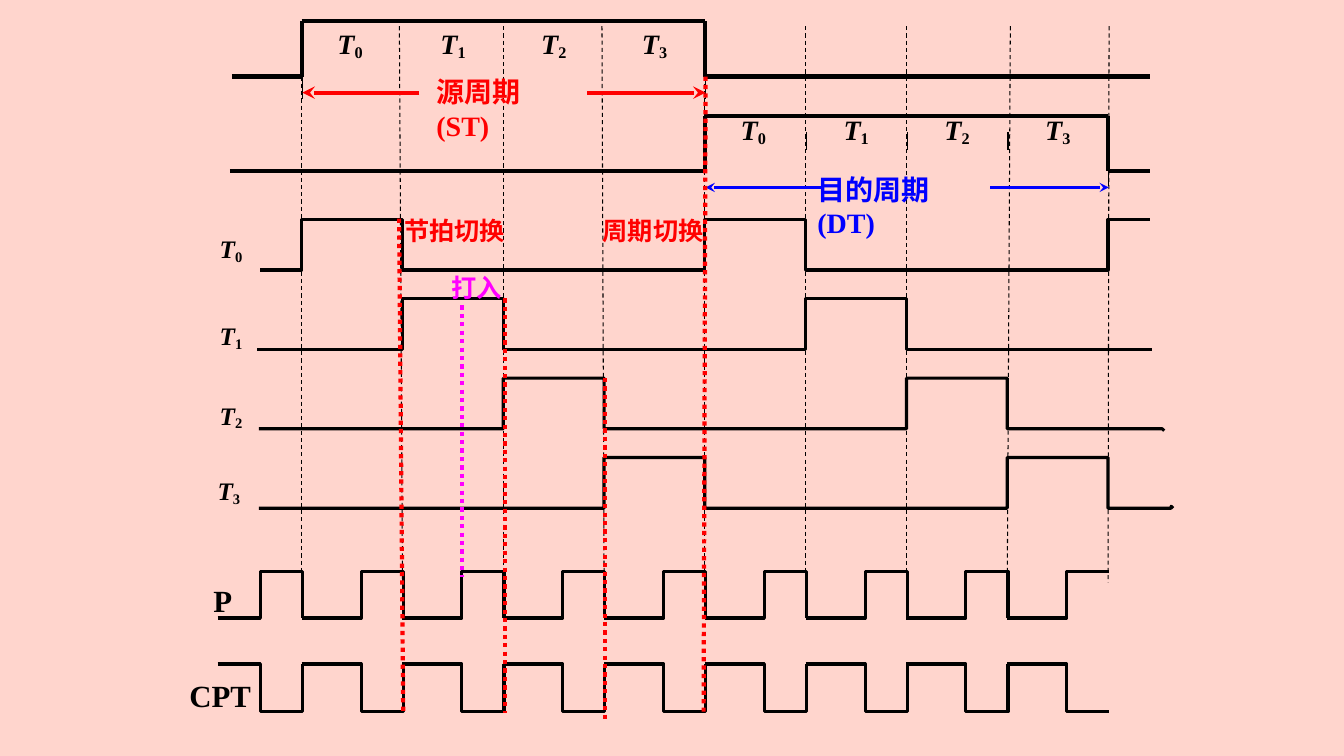
from lxml import etree
from pptx import Presentation
from pptx.dml.color import RGBColor
from pptx.enum.dml import MSO_LINE
from pptx.enum.shapes import MSO_CONNECTOR
from pptx.enum.text import MSO_ANCHOR, MSO_AUTO_SIZE
from pptx.oxml.ns import qn
from pptx.util import Pt

STRAIGHT = MSO_CONNECTOR.STRAIGHT
DASH, DOT = MSO_LINE.DASH, MSO_LINE.ROUND_DOT
FONT = "Times New Roman"
BLACK, RED, BLUE, MAGENTA = "000000", "FF0000", "0000FF", "FF00FF"
BACKGROUND = "FFD5CD"

# Time axis: the first beat starts at ORIGIN, every beat lasts BEAT
ORIGIN, BEAT, BEATS = 215.5, 72, 8
RIGHT_END = 821.5


def color(hex_string):
    return RGBColor.from_string(hex_string)


def beat_x(index):
    return ORIGIN + BEAT * index


def style_line(shape, hex_string, width, dash=None):
    shape.line.color.rgb = color(hex_string)
    shape.line.width = Pt(width)
    if dash is not None:
        shape.line.dash_style = dash


def add_line(slide, start, end, hex_string=BLACK, width=0.75, dash=None, arrow=False):
    connector = slide.shapes.add_connector(
        STRAIGHT, *(Pt(value) for value in (*start, *end)))
    style_line(connector, hex_string, width, dash)
    properties = connector._element.spPr
    if arrow:
        tail = etree.SubElement(properties.find(qn("a:ln")), qn("a:tailEnd"))
        tail.set("type", "stealth")
    etree.SubElement(properties, qn("a:effectLst"))


def add_wave(slide, points):
    corners = [(Pt(x), Pt(y)) for x, y in points]
    builder = slide.shapes.build_freeform(*corners[0], scale=1.0)
    builder.add_line_segments(corners[1:], close=False)
    shape = builder.convert_to_shape()
    shape.fill.background()
    shape.shadow.inherit = False
    style_line(shape, BLACK, 2.25)


def add_label(slide, box, text, size, hex_string=BLACK, subscript=None, wrap_margin=None):
    """Bold label; a subscript makes the main letter italic."""
    shape = slide.shapes.add_textbox(*(Pt(value) for value in box))
    frame = shape.text_frame
    frame_format = {"word_wrap": False, "auto_size": MSO_AUTO_SIZE.NONE,
                    "vertical_anchor": MSO_ANCHOR.TOP}
    if wrap_margin is not None:
        frame_format.update(word_wrap=True, margin_right=Pt(wrap_margin))
    for name, value in frame_format.items():
        setattr(frame, name, value)
    paragraph = frame.paragraphs[0]
    parts = [(text, subscript is not None)]
    if subscript is not None:
        parts.append((str(subscript), False))
    for part, italic in parts:
        run = paragraph.add_run()
        run.text = part
        font_format = {"name": FONT, "size": Pt(size), "bold": True, "italic": italic}
        for name, value in font_format.items():
            setattr(run.font, name, value)
        run.font.color.rgb = color(hex_string)
    if subscript is not None:
        run._r.get_or_add_rPr().set("baseline", "-15000")


def add_beat_waves(slide, top):
    """One row per beat signal T0 to T3; each is high every fourth beat."""
    pitch, height = 56.7, 36.2
    rows = [  # start x, label x, label offset, closing points relative to low level
        (185.8, 149.8, 6.7, []),
        (183.6, 149.8, 12, [(823, 0)]),
        (185, 149.8, 12.1, [(830.2, 0), (831.6, 1.4)]),
        (185, 148.3, 9.4, [(836.6, 0), (836.6, -1.4), (838, 0)]),
    ]
    for number, (start, label_x, label_offset, closing) in enumerate(rows):
        high = top + pitch * number
        low = high + height
        points = [(start, low)]
        for beat in range(number, BEATS, 4):
            left, right = beat_x(beat), beat_x(beat + 1)
            points += [(left, low), (left, high), (right, high), (right, low)]
        if number == 0:
            points += [(beat_x(BEATS), low), (beat_x(BEATS), high), (RIGHT_END, high)]
        points += [(x, low + offset) for x, offset in closing]
        add_wave(slide, points)
        add_label(slide, (label_x, high + label_offset, 31.7, 28.8), "T", 18,
                  subscript=number)


def add_pulse_train(slide, first, second, label, label_box):
    """Clock row: each beat starts at level first and switches to second."""
    for beat in range(-1, BEATS):
        left = beat_x(beat)
        start = left + 12 if beat < 0 else left
        switch, end = left + 42.5, left + BEAT + 0.5
        points = [(start, first), (switch, first), (switch, second), (end, second)]
        if beat < BEATS - 1:
            points.append((end, first))
        add_wave(slide, points)
    add_label(slide, label_box, label, 22)


def add_beat_grid(slide, top, bottom):
    top_shifts = [0, -2.2, 0, -1.5, 0, 0, 0, 2.2, 0.7]
    for beat, shift in enumerate(top_shifts):
        add_line(slide, (beat_x(beat) + shift, top), (beat_x(beat), bottom), dash=DASH)


def add_cycle(slide, first_beat, top, start, hex_string, arrow_width, ticks,
              label_shift, caption, caption_box):
    """Cycle window of four beats with beat names, arrows and caption."""
    left, right = beat_x(first_beat), beat_x(first_beat + 4)
    low, arrow_y = top + 39.6, top + 51.1
    # Boundary ticks
    for beat, tick_top, tick_bottom in ticks:
        x = beat_x(beat) + 0.5
        add_line(slide, (x, top + tick_top), (x, top + tick_bottom))
    # Arrows and caption
    for edge, inner in ((right, right - 84), (left, left + 84)):
        add_line(slide, (inner, arrow_y), (edge + 0.5, arrow_y), hex_string,
                 arrow_width, arrow=True)
    dx, dy, width = caption_box
    add_label(slide, (left + dx, top + dy, width, 31.7), caption, 20, hex_string,
              wrap_margin=24)
    # Beat names
    for number, offset in enumerate((18.5, 92, 164, 236)):
        add_label(slide, (left + offset, top + label_shift, 33.8, 31.7), "T", 20,
                  subscript=number)
    # Window outline
    corners = [(start, low), (left, low), (left, top), (right, top), (right, low),
               (RIGHT_END, low)]
    for begin, end in zip(corners, corners[1:]):
        add_line(slide, begin, end, width=3)


def add_switch_markers(slide):
    markers = [
        ((285.1, 156.2), (288, 508.3), RED),
        ((329.8, 218.2), (329.8, 411.8), MAGENTA),
        ((360.7, 213.1), (360.7, 509), RED),
        ((432, 270), (432, 514.1), RED),
        ((504, 54.7), (502.6, 509), RED),
    ]
    for start, end, hex_string in markers:
        add_line(slide, start, end, hex_string, 3, DOT)
    captions = [
        ("打入", (315.4, 190.8, 51.1, 28.8), MAGENTA),
        ("节拍切换", (281.5, 150.5, 87.8, 28.8), RED),
        ("周期切换", (423.4, 150.5, 87.8, 28.8), RED),
    ]
    for text, box, hex_string in captions:
        add_label(slide, box, text, 18, hex_string)


def build_timing_slide(presentation):
    slide = presentation.slides.add_slide(presentation.slide_layouts[6])
    slide.background.fill.solid()
    slide.background.fill.fore_color.rgb = color(BACKGROUND)
    add_beat_waves(slide, 156.7)
    add_pulse_train(slide, 441.4, 408.2, "P", (145.4, 411.8, 28.1, 33.8))
    add_beat_grid(slide, 18.7, 416.2)
    # Source cycle
    add_cycle(slide, 0, 15.1, 165.6, RED, 3, [(0, 5.8, 55.5), (4, 5.8, 55.5)],
              0, "源周期(ST)", (89.1, 34.6, 113.8))
    # Destination cycle
    add_cycle(slide, 4, 82.8, 164.2, BLUE, 2.25,
              [(5, 11.5, 24.5), (6, 11.5, 24.5), (7, 11.5, 24.5), (8, 0.7, 50.4)],
              -5.8, "目的周期(DT)", (73.2, 36.7, 137.5))
    add_pulse_train(slide, 474.3, 508.3, "CPT", (128.2, 479.5, 59, 33.8))
    add_switch_markers(slide)


def main():
    presentation = Presentation()
    presentation.slide_width, presentation.slide_height = Pt(960), Pt(540)
    build_timing_slide(presentation)
    presentation.save("out.pptx")


if __name__ == "__main__":
    main()
